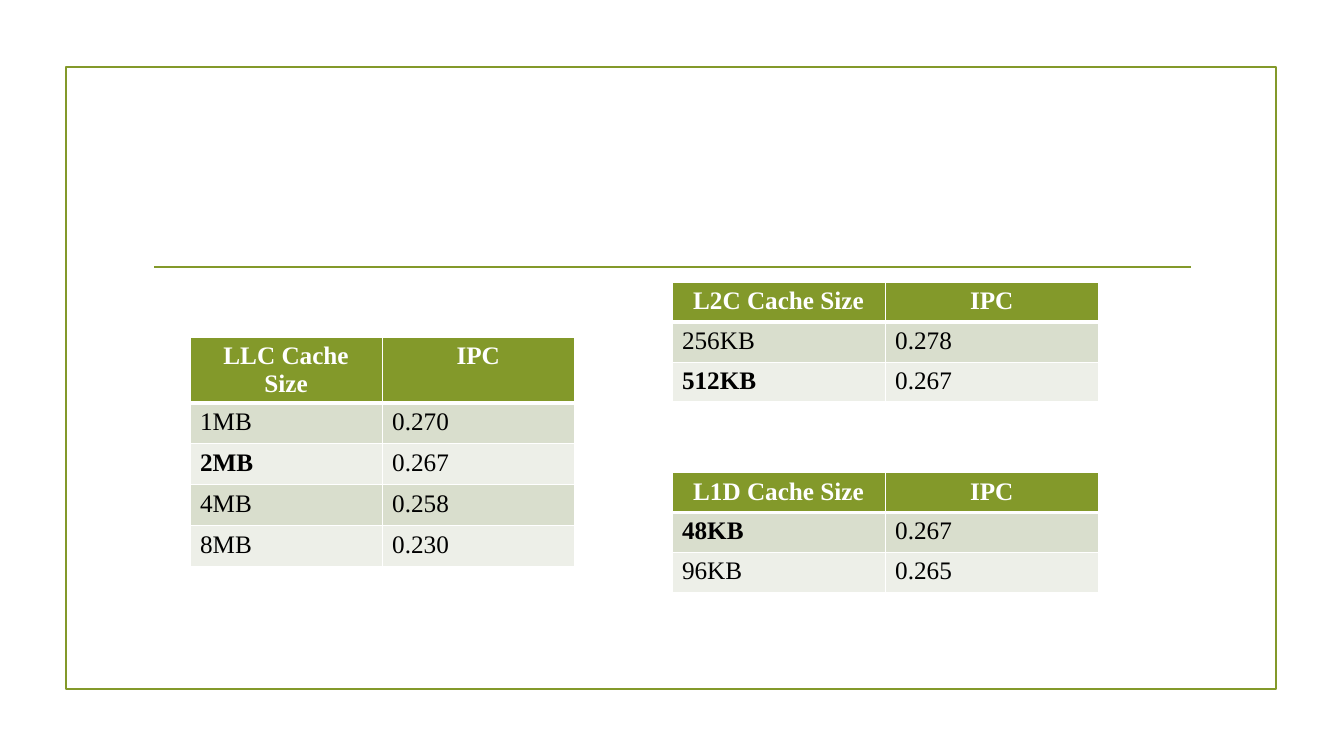
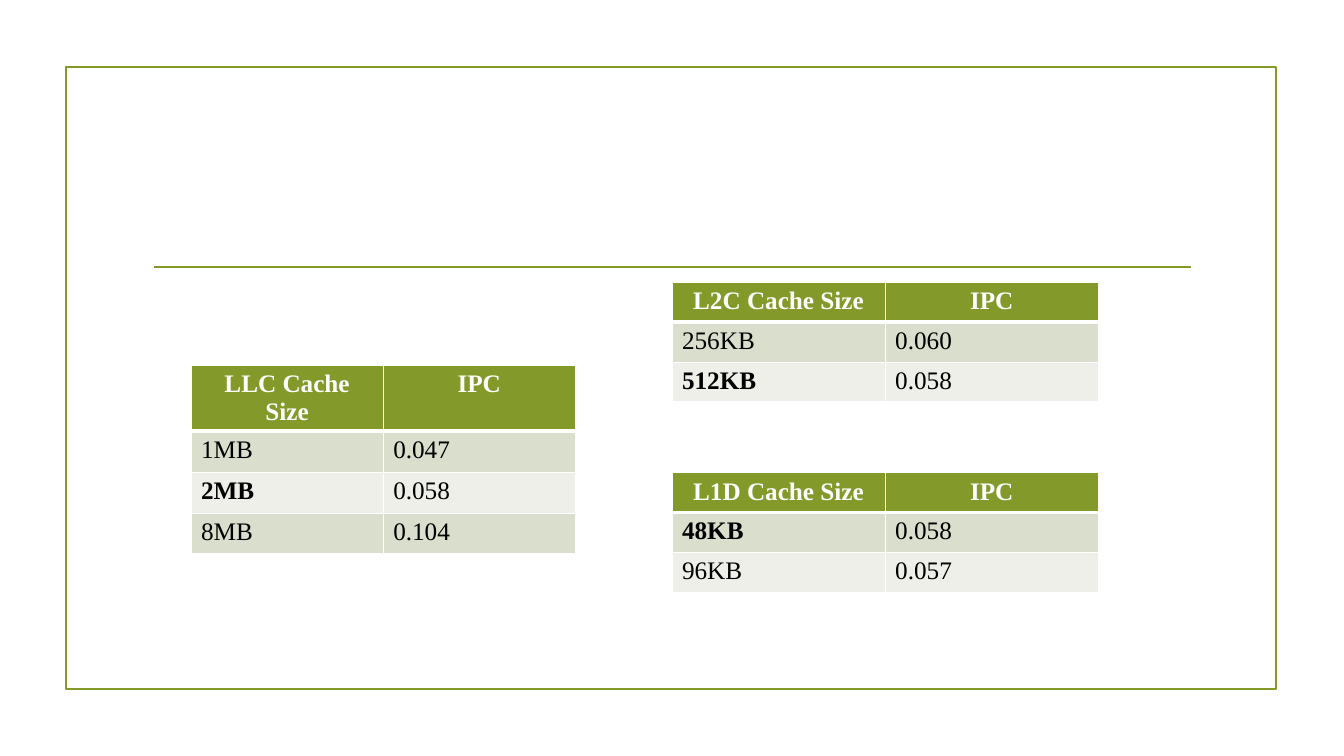
"""Build two slides of cache size against IPC tables."""
from lxml.etree import SubElement
from pptx import Presentation
from pptx.dml.color import RGBColor
from pptx.enum.shapes import MSO_CONNECTOR, MSO_SHAPE
from pptx.enum.text import PP_ALIGN
from pptx.oxml import parse_xml
from pptx.oxml.ns import nsdecls, qn
from pptx.util import Pt

PX = 9525
GREEN, WHITE, BLACK = "83992A", "FFFFFF", "000000"
BANDS = ["D9DECD", "EDEFE8"]
FONT = "Times New Roman"
BASELINE_SIZES = {"2MB", "512KB", "48KB"}

LLC_COLUMN, LLC_ROW = 183, 39
UPPER_COLUMN, UPPER_ROW = 203, 38
UPPER_LEFT, L2C_TOP, L1D_TOP = 640, 269, 450

experiments = [
    [
        ("LLC", 181, 321, LLC_COLUMN, LLC_ROW,
         [("1MB", "0.270"), ("2MB", "0.267"), ("4MB", "0.258"), ("8MB", "0.230")]),
        ("L2C", UPPER_LEFT, L2C_TOP, UPPER_COLUMN, UPPER_ROW,
         [("256KB", "0.278"), ("512KB", "0.267")]),
        ("L1D", UPPER_LEFT, L1D_TOP, UPPER_COLUMN, UPPER_ROW,
         [("48KB", "0.267"), ("96KB", "0.265")]),
    ],
    [
        ("LLC", 182, 348, LLC_COLUMN, LLC_ROW,
         [("1MB", "0.047"), ("2MB", "0.058"), ("8MB", "0.104")]),
        ("L2C", UPPER_LEFT, L2C_TOP, UPPER_COLUMN, UPPER_ROW,
         [("256KB", "0.060"), ("512KB", "0.058")]),
        ("L1D", UPPER_LEFT, L1D_TOP, UPPER_COLUMN, UPPER_ROW,
         [("48KB", "0.058"), ("96KB", "0.057")]),
    ],
]


def color(value):
    return RGBColor.from_string(value)


def set_borders(cell, row):
    heavy_edge = {0: "lnB", 1: "lnT"}.get(row)
    for position, edge in enumerate(["lnL", "lnR", "lnT", "lnB"]):
        width = Pt(3 if edge == heavy_edge else 1)
        border = parse_xml(
            f'<a:{edge} {nsdecls("a")} w="{width}"><a:solidFill>'
            f'<a:srgbClr val="{WHITE}"/></a:solidFill></a:{edge}>'
        )
        cell._tc.get_or_add_tcPr().insert(position, border)


deck = Presentation()
deck.slide_width, deck.slide_height = 1280 * PX, 720 * PX

for caches in experiments:
    slide = deck.slides.add_slide(deck.slide_layouts[6])

    frame = slide.shapes.add_shape(
        MSO_SHAPE.RECTANGLE, 63 * PX, 64 * PX, 1152 * PX, 592 * PX)
    frame.shadow.inherit = False
    frame.fill.background()
    title_rule = slide.shapes.add_connector(
        MSO_CONNECTOR.STRAIGHT, 147 * PX, 254 * PX, 1134 * PX, 254 * PX)
    SubElement(title_rule._element.spPr, qn("a:effectLst"))
    for outline in (frame.line, title_rule.line):
        outline.color.rgb = color(GREEN)
        outline.width = Pt(1.25)

    for cache, left, top, column_width, row_height, results in caches:
        rows = [(f"{cache} Cache Size", "IPC"), *results]
        table = slide.shapes.add_table(
            len(rows), 2, left * PX, top * PX,
            2 * column_width * PX, len(rows) * row_height * PX).table
        for row, values in enumerate(rows):
            header = row == 0
            for column, value in enumerate(values):
                cell = table.cell(row, column)
                cell.fill.solid()
                cell.fill.fore_color.rgb = color(GREEN if header else BANDS[(row - 1) % 2])
                set_borders(cell, row)
                cell.text_frame.text = value
                paragraph = cell.text_frame.paragraphs[0]
                paragraph.alignment = PP_ALIGN.CENTER if header else PP_ALIGN.LEFT
                font = paragraph.runs[0].font
                font.name, font.size = FONT, Pt(18)
                font.bold = header or value in BASELINE_SIZES
                font.color.rgb = color(WHITE if header else BLACK)

deck.save("out.pptx")
